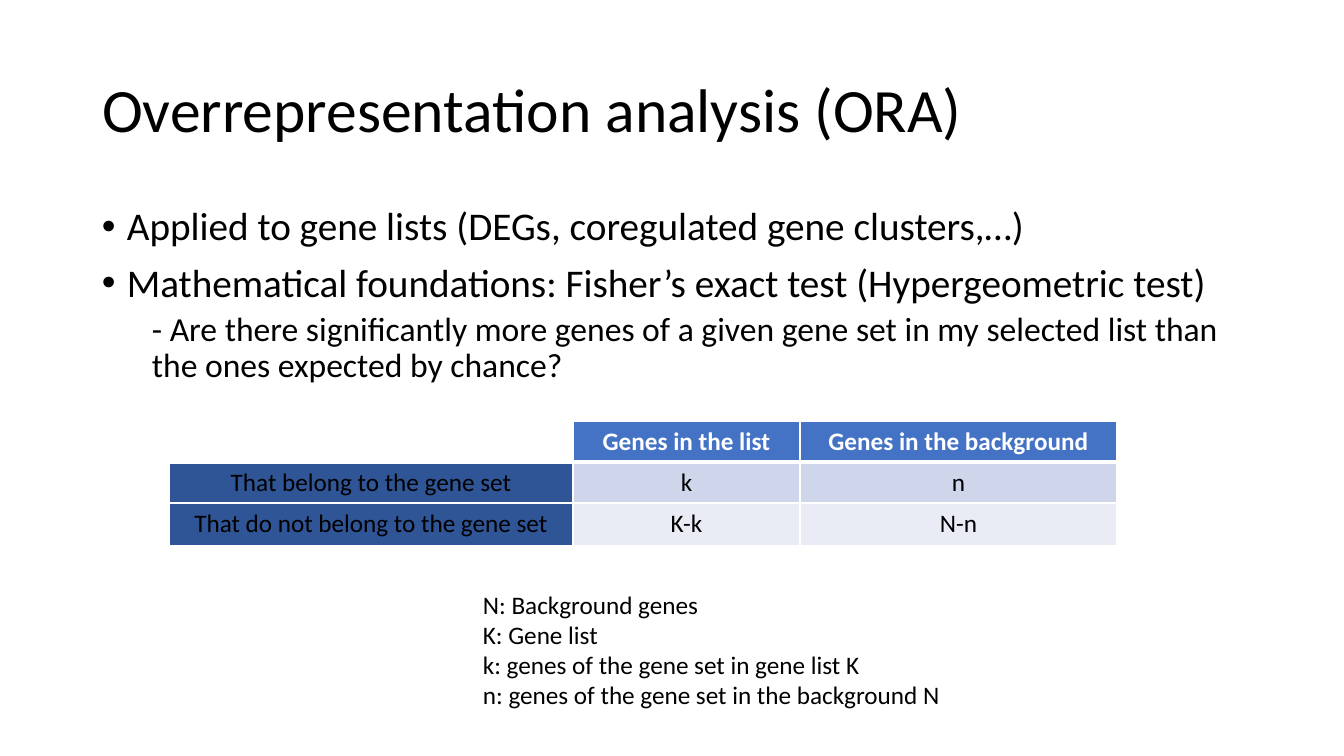
"""Build the slide on overrepresentation analysis."""
from lxml import etree
from pptx import Presentation
from pptx.dml.color import RGBColor
from pptx.enum.text import MSO_ANCHOR, PP_ALIGN
from pptx.oxml.ns import qn
from pptx.util import Emu, Pt

LEFT, CENTER = PP_ALIGN.LEFT, PP_ALIGN.CENTER
MIDDLE = MSO_ANCHOR.MIDDLE
FONT = "Calibri"
HEX = {"black": "000000", "white": "FFFFFF", "head": "4472C4",
       "side": "2F5597", "odd": "CFD5EA", "even": "E9EBF5"}

TITLE = "Overrepresentation analysis (ORA)"
POINTS = [
    ("Applied to gene lists (DEGs, coregulated gene clusters,…)", 0),
    ("Mathematical foundations: Fisher’s exact test (Hypergeometric test)", 0),
    ("- Are there significantly more genes of a given gene set in my "
     "selected list than the ones expected by chance?", 1),
]
LEVELS = [
    dict(size=28, before=10, left=25, hang=25, bullet="•"),
    dict(size=24, before=5, left=50),
]
GRID = [
    ("", "Genes in the list", "Genes in the background"),
    ("That belong to the gene set", "k", "n"),
    ("That do not belong to the gene set", "K-k", "N-n"),
]
FILLS = [("white", "head", "head"), ("side", "odd", "odd"),
         ("side", "even", "even")]
KEY = ["N: Background genes", "K: Gene list",
       "k: genes of the gene set in gene list K",
       "n: genes of the gene set in the background N"]

WIDTHS, HEIGHTS = (404, 227, 317), (41, 41, 43)
TITLE_BOX = (92, 40, 1159, 146)
BODY_BOX = (92, 202, 1159, 480)
TABLE_BOX = (169, 421, sum(WIDTHS), sum(HEIGHTS))
KEY_BOX = (473, 584, 506, 132)


def px(num):
    """Turn pixels into EMU."""
    return Emu(round(num * 914400 / 100.8))


def rgb(name):
    """Look up a colour."""
    return RGBColor.from_string(HEX[name])


def write(para, text, size=18, color="black", bold=False, align=LEFT,
          line=1.0, before=0, left=0, hang=0, bullet=None):
    """Fill a paragraph with formatted text."""
    run = para.add_run()
    run.text = text
    font = run.font
    font.name, font.size, font.bold = FONT, Pt(size), bold
    font.color.rgb = rgb(color)
    para.alignment, para.line_spacing = align, line
    para.space_before = Pt(before)
    props = para._p.get_or_add_pPr()
    props.set("marL", str(px(left)))
    props.set("indent", str(-px(hang)))
    if bullet:
        etree.SubElement(props, qn("a:buFont"), typeface="Arial")
        etree.SubElement(props, qn("a:buChar"), char=bullet)


def place(shape, box):
    """Set a shape's bounds."""
    shape.left, shape.top, shape.width, shape.height = map(px, box)


def add_text(box, items):
    """Add a wrapping text box of (text, format) items."""
    frame = slide.shapes.add_textbox(*map(px, box)).text_frame
    frame.word_wrap = True
    for i, (text, form) in enumerate(items):
        para = frame.add_paragraph() if i else frame.paragraphs[0]
        write(para, text, **form)


def edge(cell, base):
    """Give a cell white borders, with its own bottom width."""
    props = cell._tc.get_or_add_tcPr()
    for side, width in (("L", 1), ("R", 1), ("T", 1), ("B", base)):
        line = etree.SubElement(props, qn("a:ln" + side), w=str(Pt(width)))
        fill = etree.SubElement(line, qn("a:solidFill"))
        etree.SubElement(fill, qn("a:srgbClr"), val=HEX["white"])


deck = Presentation()
deck.slide_width, deck.slide_height = px(1344), px(756)
slide = deck.slides.add_slide(deck.slide_layouts[5])

title = slide.shapes.title
place(title, TITLE_BOX)
title.text_frame.vertical_anchor = MIDDLE
write(title.text_frame.paragraphs[0], TITLE, size=44, line=0.9)

add_text(BODY_BOX, [(text, dict(LEVELS[level], line=0.9))
                    for text, level in POINTS])

table = slide.shapes.add_table(3, 3, *map(px, TABLE_BOX)).table
for col, width in zip(table.columns, WIDTHS):
    col.width = px(width)
for r, (row, height) in enumerate(zip(table.rows, HEIGHTS)):
    row.height = px(height)
    for c, cell in enumerate(row.cells):
        edge(cell, 1 if r else 3)
        cell.fill.solid()
        cell.fill.fore_color.rgb = rgb(FILLS[r][c])
        if GRID[r][c]:
            write(cell.text_frame.paragraphs[0], GRID[r][c], align=CENTER,
                  bold=r == 0, color="black" if r else "white")

add_text(KEY_BOX, [(text, {}) for text in KEY])
deck.save("out.pptx")
